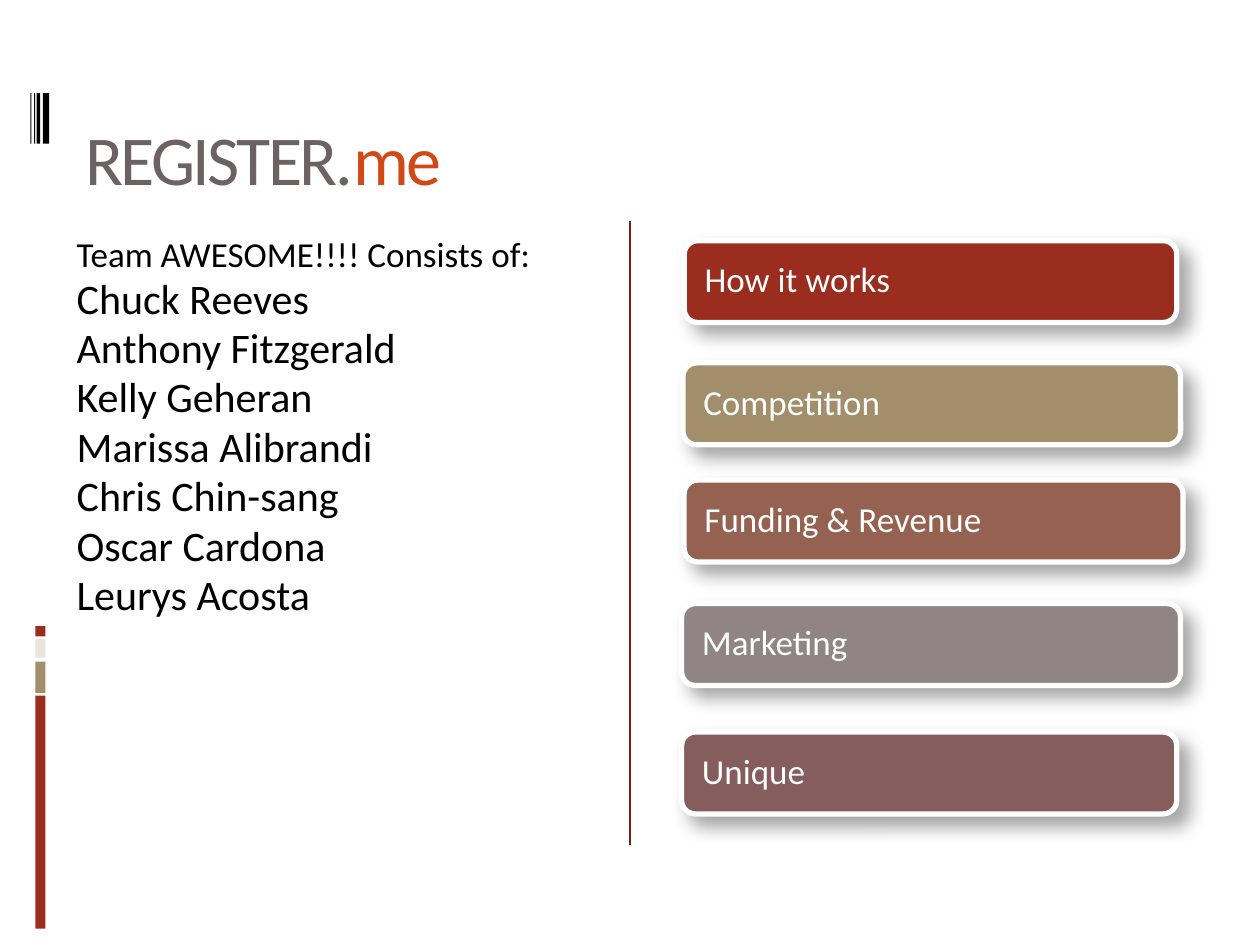
from dataclasses import dataclass
from typing import NamedTuple

from lxml import etree
from pptx import Presentation
from pptx import util as u
from pptx.dml import color
from pptx.enum import shapes, text
from pptx.oxml import ns


@dataclass(frozen=True)
class Theme:
    font: str = "Calibri"
    black: str = "000000"
    white: str = "FFFFFF"
    red: str = "9B2D1F"
    sand: str = "A28E6A"
    cream: str = "E9E5DC"
    clay: str = "956251"
    gray: str = "918485"
    plum: str = "855D5D"
    divider: str = "751D12"
    title: str = "6C6262"
    accent: str = "D34817"
    title_size: int = 40
    name_size: int = 24
    label_size: int = 20


class Block(NamedTuple):
    left: float
    top: float
    width: float
    height: float
    fill: str


class Topic(NamedTuple):
    label: str
    left: float
    top: float
    width: float
    fill: str


T = Theme()
TOPIC_HEIGHT = 0.65
BLOCKS = [
    Block(0.28, 5.52, 0.08, 1.85, T.red),
    Block(0.28, 5.25, 0.08, 0.25, T.sand),
    Block(0.28, 5.07, 0.08, 0.15, T.cream),
    Block(0.28, 4.97, 0.08, 0.08, T.red),
] + [Block(left, 0.74, width, 0.4, T.black)
     for left, width in ((0.34, 0.05), (0.29, 0.03), (0.27, 0.01), (0.24, 0.01))]
TOPICS = [
    Topic("How it works", 5.43, 1.91, 3.91, T.red),
    Topic("Competition", 5.42, 2.88, 3.95, T.sand),
    Topic("Funding & Revenue", 5.43, 3.81, 3.96, T.clay),
    Topic("Marketing", 5.41, 4.79, 3.96, T.gray),
    Topic("Unique", 5.41, 5.81, 3.93, T.plum),
]
TEAM = ["Chuck Reeves", "Anthony Fitzgerald", "Kelly Geheran", "Marissa Alibrandi",
        "Chris Chin-sang", "Oscar Cardona", "Leurys Acosta"]


def rgb(value: str) -> color.RGBColor:
    return color.RGBColor.from_string(value)


def apply(target, values: dict) -> None:
    for name, value in values.items():
        setattr(target, name, value)


def add_run(p, content: str, size: int, fill: str):
    r = p.add_run()
    r.text = content
    apply(r.font, {"name": T.font, "size": u.Pt(size)})
    r.font.color.rgb = rgb(fill)
    return r


def add_box(s, left: float, top: float, width: float, height: float, anchor):
    sp = s.shapes.add_textbox(*map(u.Inches, (left, top, width, height)))
    apply(sp.text_frame, {"word_wrap": True, "vertical_anchor": anchor})
    return sp.text_frame


def add_filled(s, kind, left: float, top: float, width: float, height: float, fill: str):
    sp = s.shapes.add_shape(kind, *map(u.Inches, (left, top, width, height)))
    sp.shadow.inherit = False
    sp.fill.solid()
    sp.fill.fore_color.rgb = rgb(fill)
    sp.line.fill.background()
    return sp


def add_shadow(sp) -> None:
    effects = sp._element.spPr.find(ns.qn("a:effectLst"))
    shadow = etree.SubElement(effects, ns.qn("a:outerShdw"), {
        "blurRad": str(u.Pt(10.2)), "dist": str(u.Pt(8)), "dir": "2700000",
        "algn": "tl", "rotWithShape": "0"})
    tint = etree.SubElement(shadow, ns.qn("a:srgbClr"), val=T.black)
    etree.SubElement(tint, ns.qn("a:alpha"), val="35000")


def add_topic(s, topic: Topic) -> None:
    sp = add_filled(s, shapes.MSO_SHAPE.ROUNDED_RECTANGLE, topic.left, topic.top,
                    topic.width, TOPIC_HEIGHT, topic.fill)
    sp.line.color.rgb = rgb(T.white)
    sp.line.width = u.Pt(3)
    add_shadow(sp)
    tf = sp.text_frame
    apply(tf, {"word_wrap": True, "vertical_anchor": text.MSO_ANCHOR.MIDDLE,
               "margin_left": u.Inches(0.13), "margin_right": u.Inches(0.13),
               "margin_top": 0, "margin_bottom": 0})
    p = tf.paragraphs[0]
    apply(p, {"alignment": text.PP_ALIGN.LEFT, "line_spacing": 0.9})
    add_run(p, topic.label, T.label_size, T.white)


def add_divider(s) -> None:
    line = s.shapes.add_connector(shapes.MSO_CONNECTOR.STRAIGHT,
                                  *map(u.Inches, (5, 1.75, 5, 6.71)))
    line.line.color.rgb = rgb(T.divider)
    line.line.width = u.Pt(0.75)
    etree.SubElement(line._element.spPr, ns.qn("a:effectLst"))


def add_team(s) -> None:
    tf = add_box(s, 0.51, 1.75, 4.42, 4.95, text.MSO_ANCHOR.TOP)
    p = tf.paragraphs[0]
    p.line_spacing = 1.14
    add_run(p, "Team AWESOME!!!! Consists of:", T.label_size, T.black)
    for member in TEAM:
        p = tf.add_paragraph()
        p.line_spacing = 0.98
        add_run(p, member, T.name_size, T.black)


def add_title(s) -> None:
    tf = add_box(s, 0.58, 0.17, 8.5, 2.16, text.MSO_ANCHOR.MIDDLE)
    for content, fill in (("REGISTER.", T.title), ("me", T.accent)):
        r = add_run(tf.paragraphs[0], content, T.title_size, fill)
        r._r.get_or_add_rPr().set("spc", "-150")


def main() -> None:
    prs = Presentation()
    apply(prs, {"slide_width": u.Inches(10), "slide_height": u.Inches(7.5)})
    s = prs.slides.add_slide(prs.slide_layouts[6])
    for block in BLOCKS:
        add_filled(s, shapes.MSO_SHAPE.RECTANGLE, *block)
    add_divider(s)
    add_team(s)
    for topic in TOPICS:
        add_topic(s, topic)
    add_title(s)
    prs.save("out.pptx")


main()
